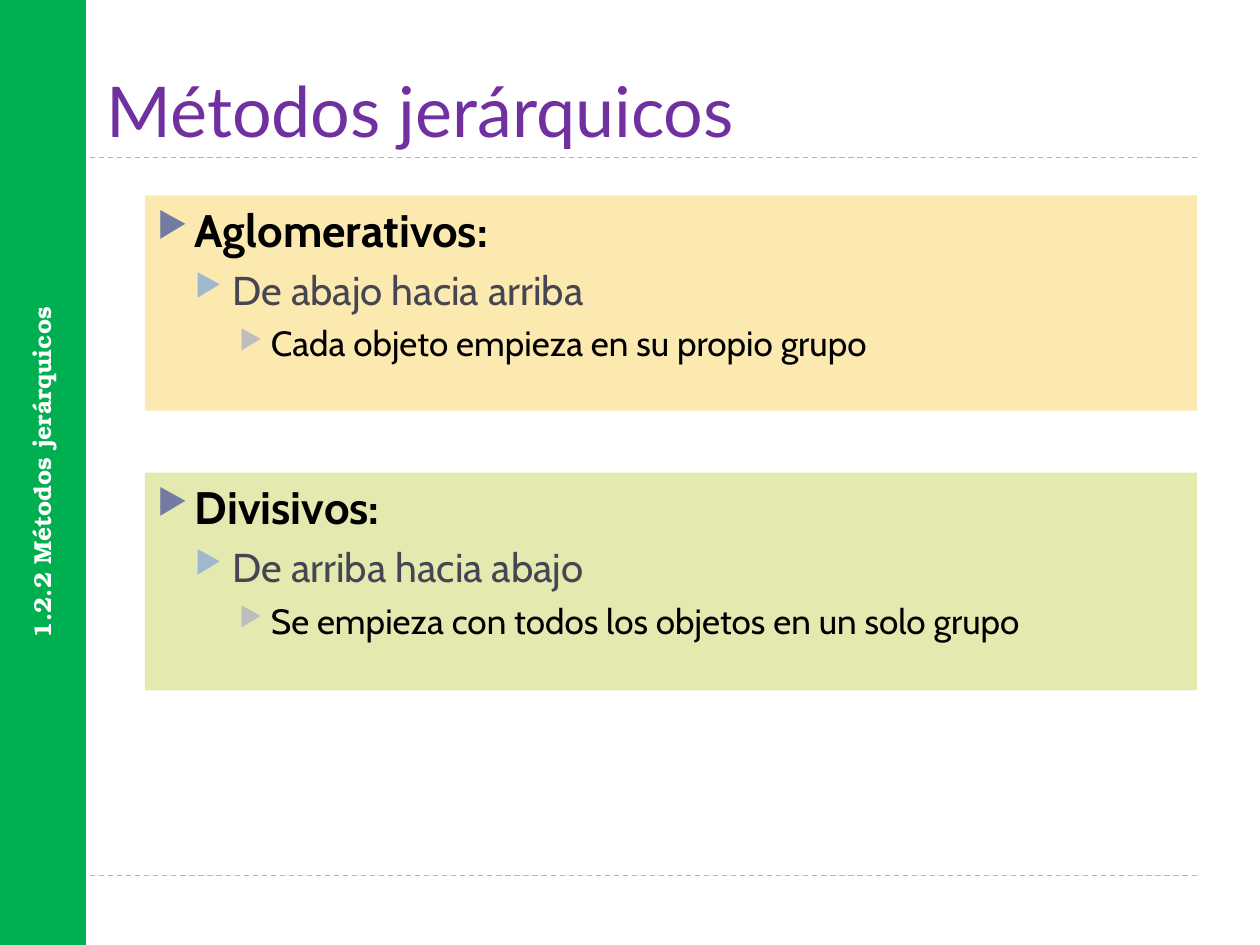
import pptx
import pptx.util
import pptx.dml.color
import pptx.enum.dml
import pptx.enum.shapes
import pptx.enum.text
import pptx.oxml.ns
import lxml.etree
from dataclasses import dataclass

Cm = pptx.util.Cm
Pt = pptx.util.Pt


@dataclass(frozen=True)
class Theme:
    """Hold the colours, fonts and type sizes."""
    green: str = "00B050"
    purple: str = "7030A0"
    white: str = "FFFFFF"
    rule: str = "9FB8CD"
    sand: str = "FCE9AF"
    lime: str = "E4E9AF"
    head: str = "Lato"
    body: str = "Cabin"
    side: str = "TeX Gyre Bonum"
    big: int = 40
    small: int = 14
    levels: tuple = (
        (26, "000000", True, "727CA3", 0.76, 0.76, 6),
        (23, "464653", False, "9FB8CD", 1.52, 0.76, 5),
        (20, "000000", False, "BDBDBD", 2.29, 0.64, 5),
    )


theme = Theme()


def tint(code):
    """Turn a hex code into a colour."""
    return pptx.dml.color.RGBColor.from_string(code)


def node(base, tag, **attrs):
    """Append a drawing element to a base element."""
    return lxml.etree.SubElement(base, pptx.oxml.ns.qn(tag), attrs)


def write(para, text, font, size, color, bold=False):
    """Add one styled run to a paragraph."""
    run = para.add_run()
    run.text = text
    run.font.name = font
    run.font.size = Pt(size)
    run.font.bold = bold
    run.font.color.rgb = tint(color)


def block(slide, box, fill):
    """Add a plain filled block and return it."""
    kind = pptx.enum.shapes.MSO_SHAPE.RECTANGLE
    shape = slide.shapes.add_shape(kind, *map(Cm, box))
    shape.shadow.inherit = False
    shape.fill.solid()
    shape.fill.fore_color.rgb = tint(fill)
    shape.line.fill.background()
    shape.text_frame.word_wrap = True
    return shape


def rule(slide, left, top, width):
    """Draw a dashed level line."""
    kind = pptx.enum.shapes.MSO_CONNECTOR.STRAIGHT
    line = slide.shapes.add_connector(kind, Cm(left), Cm(top), Cm(left + width), Cm(top))
    line.line.color.rgb = tint(theme.rule)
    line.line.width = Pt(0.75)
    line.line.dash_style = pptx.enum.dml.MSO_LINE.DASH
    node(line._element.spPr, "a:effectLst")


def title(slide, box, text):
    """Place the title at the foot of its box."""
    frame = slide.shapes.add_textbox(*map(Cm, box)).text_frame
    frame.word_wrap = True
    frame.vertical_anchor = pptx.enum.text.MSO_ANCHOR.BOTTOM
    write(frame.paragraphs[0], text, theme.head, theme.big, theme.purple)


def side(slide, box, text):
    """Place the side band with its upright label."""
    shape = block(slide, box, theme.green)
    shape.line.color.rgb = tint(theme.green)
    shape.line.width = Pt(1.5)
    frame = shape.text_frame
    frame.vertical_anchor = pptx.enum.text.MSO_ANCHOR.MIDDLE
    frame._txBody.bodyPr.set("vert", "vert270")
    para = frame.paragraphs[0]
    para.alignment = pptx.enum.text.PP_ALIGN.CENTER
    write(para, text, theme.side, theme.small, theme.white, True)


def panel(slide, box, fill, lines):
    """Place a panel with one bullet line for each level."""
    frame = block(slide, box, fill).text_frame
    frame.vertical_anchor = pptx.enum.text.MSO_ANCHOR.TOP
    for level, (text, style) in enumerate(zip(lines, theme.levels)):
        size, color, bold, mark, left, hang, gap = style
        para = frame.add_paragraph() if level else frame.paragraphs[0]
        para.level = level
        para.alignment = pptx.enum.text.PP_ALIGN.LEFT
        para.space_before = Pt(gap)
        props = para._p.get_or_add_pPr()
        props.set("marL", str(Cm(left)))
        props.set("indent", str(-Cm(hang)))
        node(node(props, "a:buClr"), "a:srgbClr", val=mark)
        node(props, "a:buSzPct", val="76000")
        node(props, "a:buChar", char="▶")
        write(para, text, theme.body, size, color, bold)


def main():
    """Build the slide and save it."""
    deck = pptx.Presentation()
    deck.slide_width, deck.slide_height = Cm(25.4), Cm(19.05)
    slide = deck.slides.add_slide(deck.slide_layouts[6])
    for top in (17.65, 3.18):
        rule(slide, 1.27, top, 22.86)
    title(slide, (1.9, 0.43, 22.23, 2.74), "Métodos jerárquicos")
    panel(slide, (2.92, 3.94, 21.21, 4.34), theme.sand, (
        "Aglomerativos:",
        "De abajo hacia arriba",
        "Cada objeto empieza en su propio grupo",
    ))
    side(slide, (0, 0, 1.7, 19.05), "1.2.2 Métodos jerárquicos")
    panel(slide, (2.92, 9.53, 21.21, 4.39), theme.lime, (
        "Divisivos:",
        "De arriba hacia abajo",
        "Se empieza con todos los objetos en un solo grupo",
    ))
    deck.save("out.pptx")


main()
